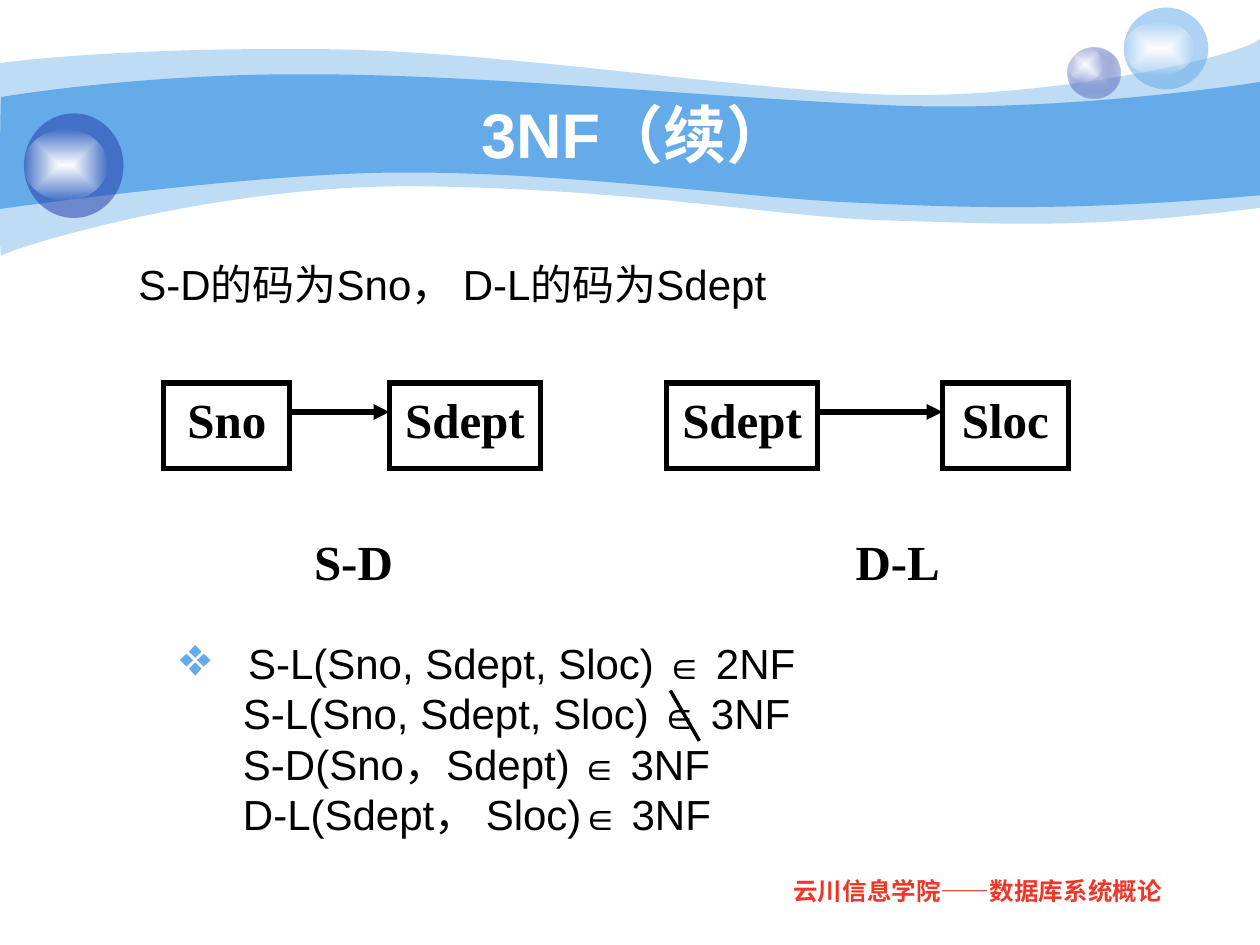
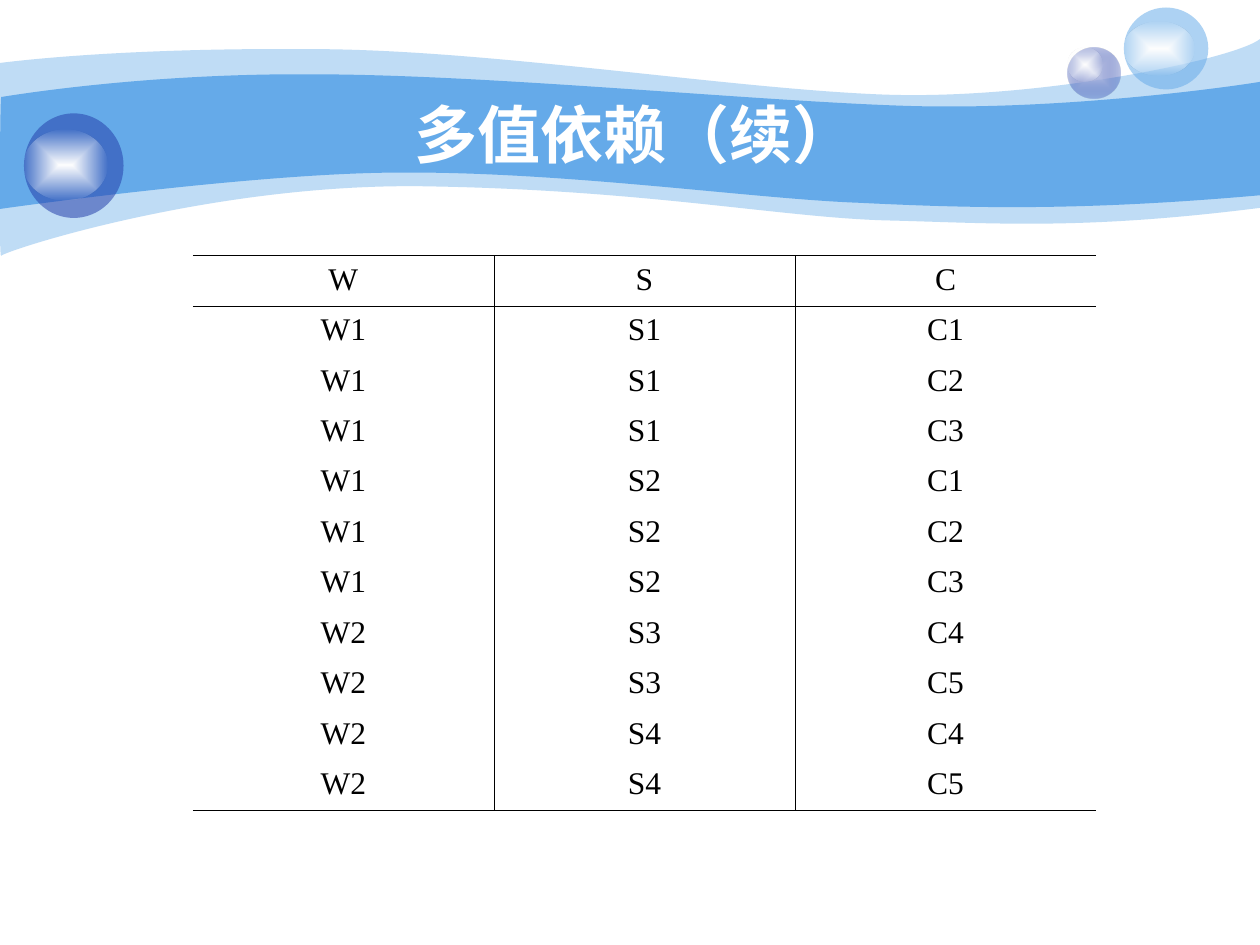
"""Build two database lecture slides: third normal form and multivalued dependency."""
from lxml.etree import SubElement
from pptx import Presentation
from pptx.dml.color import RGBColor
from pptx.enum.shapes import MSO_CONNECTOR, MSO_SHAPE
from pptx.enum.text import MSO_ANCHOR, PP_ALIGN
from pptx.oxml import parse_xml
from pptx.oxml.ns import nsdecls, qn
from pptx.util import Inches, Pt

SKY, NAVY, LAVENDER = "65AAE9", "233DA9", "C7CEE9"
WHITE, BLACK, RED = "FFFFFF", "000000", "F03628"
SANS, SERIF = "Arial", "Times New Roman"
NO_TABLE_STYLE = "{2D5ABB26-0587-4C30-8999-92F81FD0307C}"

TITLES = ["3NF（续）", "多值依赖（续）"]
FOOTER = "云川信息学院——数据库系统概论"
KEYS_LINE = "S-D的码为Sno， D-L的码为Sdept"

BANDS = [
    ([(SKY, 41)], (0, 0.5), [
        (0.24, 0.47, 1.07, 0.38, 2.47, 0.39), (3.86, 0.39, 5.75, 0.7, 6.99, 0.75),
        (8.22, 0.8, 9.8, 0.47, 10, 0.31), (10, 1.65),
        (8.58, 1.83, 7.87, 1.77, 7.05, 1.75), (6.22, 1.73, 5.15, 1.51, 3.43, 1.48),
        (1.72, 1.44, 0.04, 1.99, 0.01, 2.03), (-0.01, 2.08, 0, 0.75, 0, 0.5)]),
    ([(SKY, 100)], (0.01, 0.77), [
        (0.02, 0.77, 1.1, 0.58, 2.48, 0.59), (3.86, 0.59, 5.95, 0.8, 7.18, 0.84),
        (8.41, 0.88, 9.76, 0.69, 10, 0.65), (10, 1.55),
        (8.53, 1.68, 7.65, 1.65, 6.82, 1.61), (5.99, 1.58, 4.47, 1.36, 3.17, 1.37),
        (2.03, 1.37, -0.02, 1.66, -0.01, 1.66), (0, 1.66, 0, 0.77, 0.01, 0.77)]),
]
GLOW = [(WHITE, 100), (WHITE, 0)]
BUBBLES = [
    ((8.47, 0.38, 0.42, 0.4), [(LAVENDER, 100), (NAVY, 31)]),
    ((8.47, 0.38, 0.28, 0.27), GLOW),
    ((8.92, 0.06, 0.67, 0.65), [(SKY, 53)]),
    ((8.92, 0.17, 0.56, 0.43), GLOW),
    ((0.19, 0.9, 0.79, 0.83), [(NAVY, 53)]),
    ((0.19, 1.03, 0.66, 0.56), GLOW),
]

BOX_TOP, BOX_HEIGHT, ARROW_Y, CAPTION_TOP = 3.04, 0.68, 3.27, 4.17
RELATIONS = [
    (("Sno", 1.3, 1.0), ("Sdept", 3.09, 1.2), ("S-D", 2.3, 1.01)),
    (("Sdept", 5.29, 1.2), ("Sloc", 7.48, 1.0), ("D-L", 6.68, 0.89)),
]
MEMBERSHIPS = [
    ("S-L(Sno, Sdept, Sloc) ", "∈", " 2NF"),
    ("S-L(Sno, Sdept, Sloc) ", "∈", " 3NF"),
    ("S-D(Sno，Sdept)", " ∈", " 3NF"),
    ("D-L(Sdept， Sloc)", "∈", " 3NF"),
]
STRIKE = (5.32, 5.48, 5.55, 5.88)

HEADERS = ("W", "S", "C")
GROUPS = [
    ("W1", ("S1", "S2"), ("C1", "C2", "C3")),
    ("W2", ("S3", "S4"), ("C4", "C5")),
]
ROWS = [HEADERS] + [(w, s, c) for w, stores, goods in GROUPS for s in stores for c in goods]
COLUMN_WIDTH, ROW_HEIGHT = 2.39, 0.4


def color(code):
    return RGBColor.from_string(code)


def inches(values):
    return [Inches(value) for value in values]


def paint(shape, stops):
    """Fill a shape with one (colour, opacity) pair or a gradient from its centre."""
    tints = [f'<a:srgbClr val="{code}"><a:alpha val="{opacity * 1000}"/></a:srgbClr>'
             for code, opacity in stops]
    if len(tints) == 1:
        xml = f'<a:solidFill {nsdecls("a")}>{tints[0]}</a:solidFill>'
    else:
        marks = "".join(f'<a:gs pos="{index * 100000}">{tint}</a:gs>'
                        for index, tint in enumerate(tints))
        xml = (f'<a:gradFill {nsdecls("a")}><a:gsLst>{marks}</a:gsLst><a:path path="rect">'
               '<a:fillToRect l="50000" t="50000" r="50000" b="50000"/></a:path></a:gradFill>')
    shape.shadow.inherit = False
    shape.line.fill.background()
    shape.fill.background()
    properties = shape.fill._xPr
    properties.replace(properties.find(qn("a:noFill")), parse_xml(xml))


def add_band(page, stops, start, segments):
    """Draw an outline through the segment ends, then bend the curved segments."""
    builder = page.shapes.build_freeform(*inches(start))
    builder.add_line_segments([inches(segment[-2:]) for segment in segments], close=True)
    band = builder.convert_to_shape()
    sides = list(band._element.iter(qn("a:lnTo")))
    for side, segment in zip(sides, segments):
        if len(segment) == 2:
            continue
        side.tag = qn("a:cubicBezTo")
        side.clear()
        for x, y in zip(segment[::2], segment[1::2]):
            SubElement(side, qn("a:pt"), x=str(Inches(x) - band.left), y=str(Inches(y) - band.top))
    paint(band, stops)


def style(paragraph, size, code, font, bold=False, align=PP_ALIGN.CENTER):
    paragraph.alignment = align
    paragraph.font.size = Pt(size)
    paragraph.font.name = font
    paragraph.font.bold = bold
    paragraph.font.color.rgb = color(code)


def add_text(page, place, text, *look, **options):
    box = page.shapes.add_textbox(*inches(place))
    box.text_frame.word_wrap = True
    box.text_frame.text = text
    style(box.text_frame.paragraphs[0], *look, **options)
    return box


def indent(paragraph, left, first, bullet=None):
    properties = paragraph._p.get_or_add_pPr()
    properties.set("marL", str(Inches(left)))
    properties.set("indent", str(Inches(first)))
    if bullet:
        tint = parse_xml(f'<a:buClr {nsdecls("a")}><a:srgbClr val="{SKY}"/></a:buClr>')
        size = parse_xml(f'<a:buSzPct {nsdecls("a")} val="130000"/>')
        mark = parse_xml(f'<a:buChar {nsdecls("a")} char="{bullet}"/>')
        for place, part in enumerate((tint, size, mark)):
            properties.insert(place, part)


def add_line(page, ends, width, arrow=False):
    line = page.shapes.add_connector(MSO_CONNECTOR.STRAIGHT, *inches(ends))
    line.line.color.rgb = color(BLACK)
    line.line.width = Pt(width)
    if arrow:
        SubElement(line.line._get_or_add_ln(), qn("a:tailEnd"), type="triangle")
    SubElement(line._element.spPr, qn("a:effectLst"))


def add_page(deck, title):
    """Add a blank slide with the wave bands, the bubbles and a title."""
    page = deck.slides.add_slide(deck.slide_layouts[6])
    for stops, start, segments in BANDS:
        add_band(page, stops, start, segments)
    for place, stops in BUBBLES:
        paint(page.shapes.add_shape(MSO_SHAPE.OVAL, *inches(place)), stops)
    box = add_text(page, (1, 0.75, 8.08, 0.62), title, 36, WHITE, SANS, bold=True)
    box.text_frame.vertical_anchor = MSO_ANCHOR.MIDDLE
    return page


def add_attribute(page, name, left, width):
    box = page.shapes.add_shape(
        MSO_SHAPE.RECTANGLE, *inches((left, BOX_TOP, width, BOX_HEIGHT)))
    box.shadow.inherit = False
    box.fill.background()
    box.line.color.rgb = color(BLACK)
    box.line.width = Pt(3)
    SubElement(box.line._get_or_add_ln(), qn("a:miter"), lim="800000")
    box.text_frame.text = name
    box.text_frame.vertical_anchor = MSO_ANCHOR.TOP
    style(box.text_frame.paragraphs[0], 28, BLACK, SERIF, bold=True)


def add_relations(page):
    for source, target, (caption, left, width) in RELATIONS:
        add_attribute(page, *source)
        add_attribute(page, *target)
        add_line(page, (source[1] + source[2], ARROW_Y, target[1], ARROW_Y), 3, arrow=True)
        add_text(page, (left, CAPTION_TOP, width, BOX_HEIGHT), caption,
                 28, BLACK, SERIF, bold=True)


def add_memberships(page):
    frame = page.shapes.add_textbox(*inches((0.98, 5.01, 5.75, 1.7))).text_frame
    frame.word_wrap = True
    for index, parts in enumerate(MEMBERSHIPS):
        para = frame.add_paragraph() if index else frame.paragraphs[0]
        style(para, 24, BLACK, SANS, align=PP_ALIGN.LEFT)
        for part in parts:
            span = para.add_run()
            span.text = part
            if "∈" in part:
                span.font.size = Pt(22)
        if index:
            indent(para, 0.85, 0)
        else:
            indent(para, 0.89, -0.54, "❖")
    add_line(page, STRIKE, 2)


def add_borders(cell, sides):
    for side in "LRTB":
        edge = SubElement(cell._tc.get_or_add_tcPr(), qn(f"a:ln{side}"), w=str(Pt(0.45)))
        if side in sides:
            SubElement(SubElement(edge, qn("a:solidFill")), qn("a:srgbClr"), val=BLACK)
        else:
            SubElement(edge, qn("a:noFill"))


def add_dependency_table(page):
    row_count, column_count = len(ROWS), len(HEADERS)
    place = (1.53, 2.03, COLUMN_WIDTH * column_count, ROW_HEIGHT * row_count)
    table = page.shapes.add_table(row_count, column_count, *inches(place)).table
    table.first_row = table.horz_banding = False
    table._tbl.tblPr.find(qn("a:tableStyleId")).text = NO_TABLE_STYLE
    for y, values in enumerate(ROWS):
        table.rows[y].height = Inches(ROW_HEIGHT)
        for x, value in enumerate(values):
            cell = table.cell(y, x)
            cell.text = value
            style(cell.text_frame.paragraphs[0], 18, BLACK, SERIF)
            sides = "L" * (x > 0) + "R" * (x < column_count - 1)
            sides += "T" * (y < 2) + "B" * (y in (0, row_count - 1))
            add_borders(cell, sides)
            cell.fill.background()


def main():
    deck = Presentation()
    deck.slide_width, deck.slide_height = Inches(10), Inches(7.5)

    normal_form = add_page(deck, TITLES[0])
    add_text(normal_form, (5.79, 6.9, 3.94, 0.35), FOOTER, 14, RED, SANS, bold=True)
    keys = add_text(normal_form, (0.5, 2, 9, 4.92), KEYS_LINE,
                    24, BLACK, SANS, align=PP_ALIGN.LEFT)
    keys_para = keys.text_frame.paragraphs[0]
    keys_para.space_before = Pt(6)
    indent(keys_para, 0.81, -0.31)
    add_relations(normal_form)
    add_memberships(normal_form)

    add_dependency_table(add_page(deck, TITLES[1]))
    deck.save("out.pptx")


if __name__ == "__main__":
    main()
